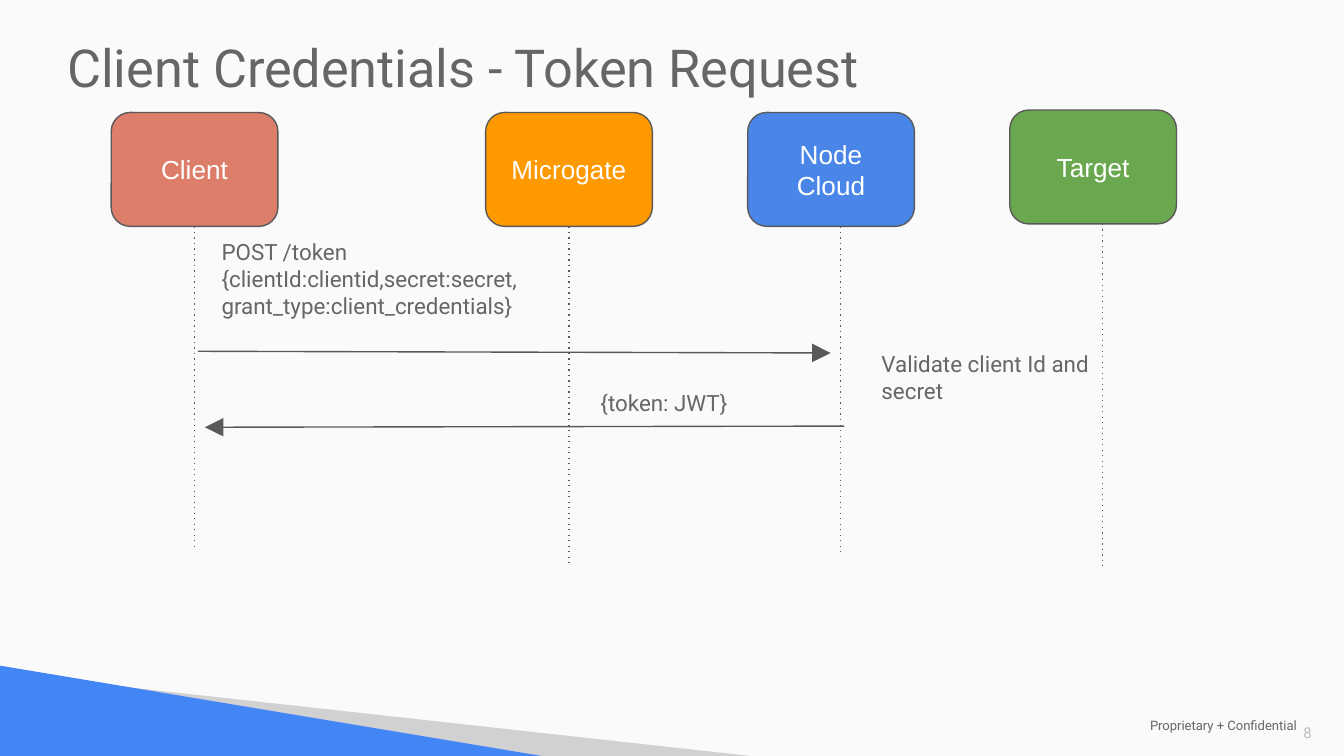
from collections import namedtuple

from lxml.etree import SubElement
from pptx import Presentation
from pptx.dml.color import RGBColor
from pptx.enum.shapes import MSO_CONNECTOR as Connector, MSO_SHAPE as Shape
from pptx.enum.text import MSO_ANCHOR as Anchor, MSO_AUTO_SIZE as AutoSize, PP_ALIGN as Align
from pptx.oxml.ns import qn
from pptx.util import Pt

COLORS = {
    "page": "FAFAFA", "text": "666666", "number": "BDBDBD", "line": "595959",
    "white": "FFFFFF", "swoosh": "4285F4", "shade": "D1D1D1",
    "client": "DD7E6B", "gateway": "FF9900", "cloud": "4A86E8", "target": "6AA84F",
}
Box = namedtuple("Box", "left top width height")
PARTICIPANT_WIDTH, PARTICIPANT_HEIGHT = 89.3, 61
COLUMN_STEP = 140.4
BOTTOM_SIDE = 2


def color(name):
    return RGBColor.from_string(COLORS[name])


def write(frame, lines, size, font="Roboto", ink="text", align=Align.LEFT,
          anchor=Anchor.TOP, insets=(7.2, 7.2), space_after=0):
    across, down = map(Pt, insets)
    settings = {
        "word_wrap": True, "auto_size": AutoSize.NONE, "vertical_anchor": anchor,
        "margin_left": across, "margin_right": across,
        "margin_top": down, "margin_bottom": down,
    }
    for name, value in settings.items():
        setattr(frame, name, value)
    frame.text = "\n".join(lines)
    for paragraph in frame.paragraphs:
        paragraph.alignment = align
        paragraph.space_after = Pt(space_after)
        paragraph.font.name = font
        paragraph.font.size = Pt(size)
        paragraph.font.color.rgb = color(ink)


def add_text(slide, box, lines, size, **style):
    label = slide.shapes.add_textbox(*map(Pt, box))
    write(label.text_frame, lines, size, **style)


def add_line(slide, start, end, dotted=False, arrow=False):
    link = slide.shapes.add_connector(Connector.STRAIGHT, *map(Pt, start + end))
    link.line.color.rgb = color("line")
    link.line.width = Pt(0.75)
    outline = link.line._get_or_add_ln()
    if dotted:
        SubElement(outline, qn("a:prstDash"), val="dot")
    if arrow:
        SubElement(outline, qn("a:tailEnd"), type="triangle", w="lg", len="lg")
    SubElement(link._element.spPr, qn("a:effectLst"))
    return link


def add_backdrop(slide, box):
    fill = slide.background.fill
    fill.solid()
    fill.fore_color.rgb = color("page")
    triangles = [
        ("shade", [(61.2, 10.8), (401.8, box.height), (288.7, box.height)]),
        ("swoosh", [(0, 0), (0, box.height), (290.2, box.height)]),
    ]
    for name, corners in triangles:
        points = [(Pt(box.left + x), Pt(box.top + y)) for x, y in corners]
        builder = slide.shapes.build_freeform(*points[0])
        builder.add_line_segments(points[1:], close=True)
        triangle = builder.convert_to_shape()
        triangle.shadow.inherit = False
        triangle.fill.solid()
        triangle.fill.fore_color.rgb = color(name)
        triangle.line.fill.background()


def add_footer(slide, box):
    add_text(slide, (box.left, box.top + 2.2, 107.3, 10), ["Proprietary + Confidential"],
             7, anchor=Anchor.MIDDLE)
    add_text(slide, (box.left + box.width - 36, box.top, 36, box.height), ["8"], 8,
             ink="number", align=Align.RIGHT, anchor=Anchor.MIDDLE, insets=(5, 3))


def add_title(slide, box):
    title = slide.shapes.title
    title.left, title.top, title.width, title.height = map(Pt, box)
    write(title.text_frame, ["Client Credentials - Token Request"], 28, space_after=18)


def add_participant(slide, box, name, fill, lifeline_offset, lifeline_end):
    participant = slide.shapes.add_shape(Shape.ROUNDED_RECTANGLE, *map(Pt, box))
    participant.shadow.inherit = False
    participant.fill.solid()
    participant.fill.fore_color.rgb = color(fill)
    participant.line.color.rgb = color("line")
    participant.line.width = Pt(0.75)
    write(participant.text_frame, [name], 14, font="Arial", ink="white",
          align=Align.CENTER, anchor=Anchor.MIDDLE)

    center = box.left + box.width / 2 + lifeline_offset
    lifeline = add_line(slide, (center, box.top + box.height), (center, lifeline_end),
                        dotted=True)
    if not lifeline_offset:
        lifeline.begin_connect(participant, BOTTOM_SIDE)


def add_participants(slide, box):
    gateway_left = box.left + 200.6
    participants = [
        ("Client", "client", box.left, 1.3, 0, 293),
        ("Microgate", "gateway", gateway_left, 1.3, 0, 303),
        ("Node Cloud", "cloud", gateway_left + COLUMN_STEP, 1.3, 5, 297.4),
        ("Target", "target", gateway_left + 2 * COLUMN_STEP, 0, 5, 303),
    ]
    for name, fill, left, drop, offset, end in participants:
        place = Box(left, box.top + drop, PARTICIPANT_WIDTH, PARTICIPANT_HEIGHT)
        add_participant(slide, place, name, fill, offset, end)


def add_messages(slide, box):
    def at(x, y):
        return box.left + x, box.top + y

    request = ["POST /token", "{clientId:clientid,secret:secret, grant_type:client_credentials}"]
    add_text(slide, at(7.2, 0) + (178.6, 100.8), request, 12)
    add_line(slide, at(1.6, 67.8), at(340.6, 68.7), arrow=True)
    add_text(slide, at(360.7, 60) + (126, 44), ["Validate client Id and secret"], 12)
    add_text(slide, at(210.2, 80.8) + (126, 21.6), ["{token: JWT}"], 12)
    add_line(slide, at(347.8, 107.9), at(5.4, 108.5), arrow=True)


def main():
    deck = Presentation()
    deck.slide_width, deck.slide_height = Pt(720), Pt(405)
    slide = deck.slides.add_slide(deck.slide_layouts[5])
    add_backdrop(slide, Box(0, 356.6, 402, 48.4))
    add_footer(slide, Box(609, 381.4, 98.8, 21.6))
    add_title(slide, Box(28.8, 11.5, 639.4, 44))
    add_participants(slide, Box(59.6, 59, 570.7, 244))
    add_messages(slide, Box(104.4, 120.4, 486, 109))
    deck.save("out.pptx")


if __name__ == "__main__":
    main()
